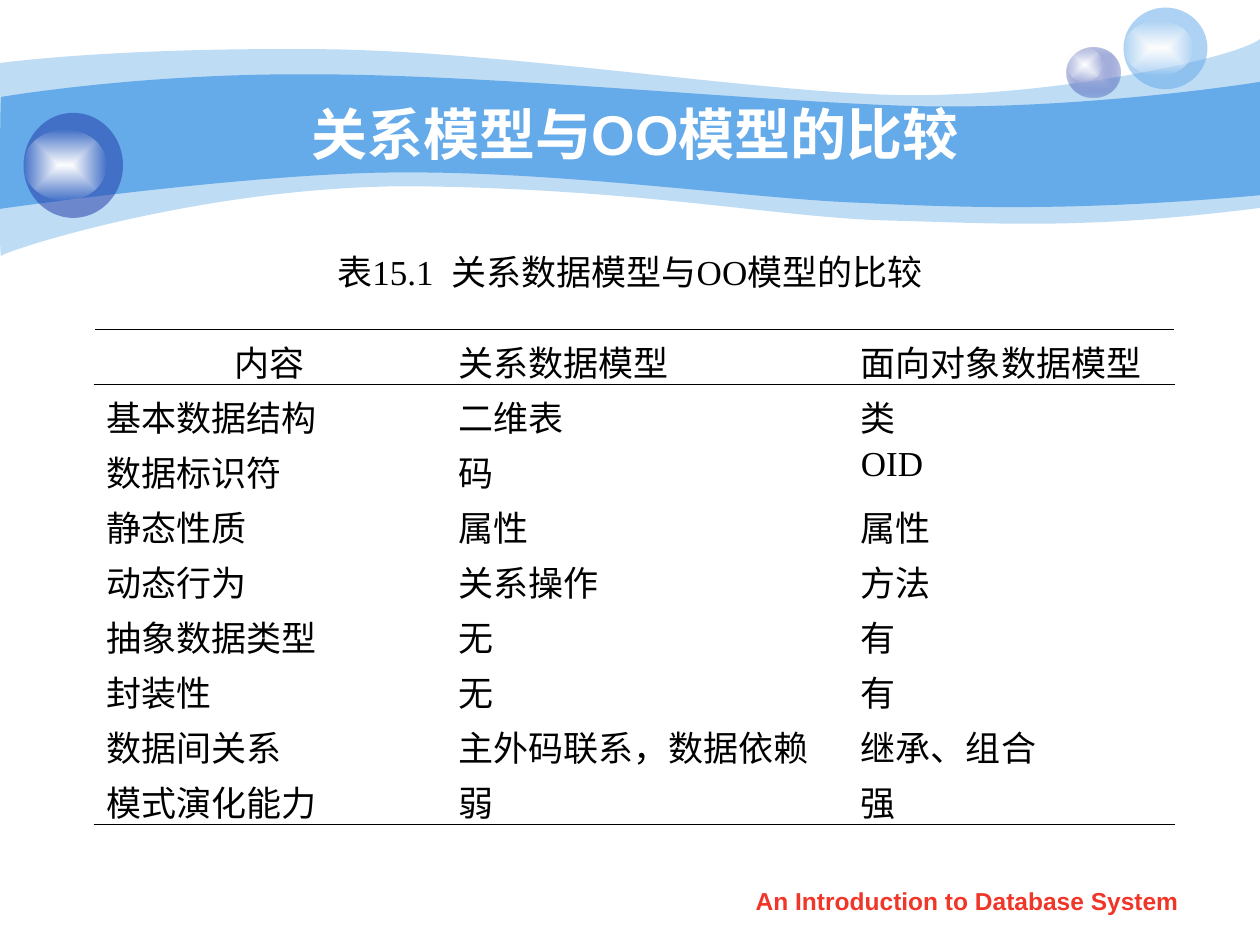
"""Build the slide that compares the relational and OO data models."""
from lxml.etree import SubElement
from pptx import Presentation
from pptx.dml.color import RGBColor
from pptx.enum.shapes import MSO_SHAPE
from pptx.enum.text import MSO_ANCHOR, PP_ALIGN
from pptx.oxml import parse_xml
from pptx.oxml.ns import nsdecls, qn
from pptx.util import Pt


def paint(sp, *stops):
    """Fill a shape with one colour or a centred gradient of (hex, opacity)."""
    sp.shadow.inherit = False
    sp.line.fill.background()
    clrs = [f'<a:srgbClr val="{c}"><a:alpha val="{a * 1000}"/></a:srgbClr>' for c, a in stops]
    if len(clrs) == 1:
        xml = f'<a:solidFill {nsdecls("a")}>{clrs[0]}</a:solidFill>'
    else:
        gs = "".join(f'<a:gs pos="{i * 100000}">{c}</a:gs>' for i, c in enumerate(clrs))
        xml = (f'<a:gradFill {nsdecls("a")} rotWithShape="1"><a:gsLst>{gs}</a:gsLst><a:path path="rect">'
               '<a:fillToRect l="50000" t="50000" r="50000" b="50000"/></a:path></a:gradFill>')
    sp._element.spPr.insert(2, parse_xml(xml))


def write(tf, text, color, align=PP_ALIGN.LEFT, **fmt):
    """Put one formatted run into a text frame."""
    p = tf.paragraphs[0]
    p.alignment = align
    r = p.add_run()
    r.text = text
    r.font.color.rgb = RGBColor.from_string(color)
    for key, value in fmt.items():
        setattr(r.font, key, value)


prs = Presentation()
prs.slide_width, prs.slide_height = Pt(720), Pt(540)
s = prs.slides.add_slide(prs.slide_layouts[5])

waves = [
    (41, (0, 36), [
        (17.3, 33.8, 77, 27.4, 177.8, 28.1), (277.9, 28.1, 414, 50.4, 503.3, 54),
        (591.8, 57.6, 705.6, 33.8, 720, 22.3), (720, 118.8),
        (617.8, 131.8, 566.6, 127.4, 507.6, 126), (447.8, 124.6, 370.8, 108.7, 247, 106.6),
        (123.8, 103.7, 2.9, 143.3, 0.7, 146.2), (-0.7, 149.8, 0, 54, 0, 36)]),
    (100, (0.7, 55.4), [
        (1.4, 55.4, 79.2, 41.8, 178.6, 42.5), (277.9, 42.5, 428.4, 57.6, 517, 60.5),
        (605.5, 63.4, 702.7, 49.7, 720, 46.8), (720, 111.6),
        (614.2, 121, 550.8, 118.8, 491, 115.9), (431.3, 113.8, 321.8, 97.9, 228.2, 98.6),
        (146.2, 98.6, -1.4, 119.5, -0.7, 119.5), (0, 119.5, 0, 55.4, 0.7, 55.4)]),
]
for opacity, start, segments in waves:
    fb = s.shapes.build_freeform(Pt(start[0]), Pt(start[1]))
    fb.add_line_segments([(Pt(seg[-2]), Pt(seg[-1])) for seg in segments])
    sp = fb.convert_to_shape()
    outline = next(sp._element.iter(qn("a:path")))
    for line, seg in zip(outline.findall(qn("a:lnTo")), segments):
        if len(seg) == 6:
            curve = SubElement(outline, qn("a:cubicBezTo"))
            for x, y in zip(seg[::2], seg[1::2]):
                SubElement(curve, qn("a:pt"), x=str(Pt(x) - sp.left), y=str(Pt(y) - sp.top))
            outline.replace(line, curve)
    paint(sp, ("65AAE9", opacity))

shine = [("FFFFFF", 100), ("FEFEFE", 0)]
orbs = [
    ((609.8, 27, 30.5, 29), [("C6CCE8", 100), ("233DA9", 31)], (609.8, 27, 20.2, 19.4)),
    ((642, 4.3, 48, 46.7), [("65AAE9", 53)], (642, 12, 40, 31)),
    ((13.5, 64.5, 56.8, 60), [("233DA9", 53)], (13.5, 74.3, 47.5, 40.3)),
]
for ball, stops, glow in orbs:
    group = s.shapes.add_group_shape()
    for box, fill in ((ball, stops), (glow, shine)):
        paint(group.shapes.add_shape(MSO_SHAPE.OVAL, *map(Pt, box)), *fill)

title = s.shapes.title
s.shapes._spTree.append(title._element)
title.left, title.top, title.width, title.height = Pt(72), Pt(53.6), Pt(582), Pt(45)
title.text_frame.vertical_anchor = MSO_ANCHOR.MIDDLE
write(title.text_frame, "关系模型与OO模型的比较", "FFFFFF", PP_ALIGN.CENTER,
      name="Arial", size=Pt(32), bold=True)

body = {"color": "000000", "name": "Times New Roman", "size": Pt(20)}
caption = s.shapes.add_textbox(Pt(176), Pt(139), Pt(368), Pt(32)).text_frame
caption.word_wrap = False
caption.vertical_anchor = MSO_ANCHOR.MIDDLE
write(caption, "表15.1  关系数据模型与OO模型的比较", align=PP_ALIGN.CENTER, **body)

rows = [
    ("内容", "关系数据模型", "面向对象数据模型"),
    ("基本数据结构", "二维表", "类"),
    ("数据标识符", "码", "OID"),
    ("静态性质", "属性", "属性"),
    ("动态行为", "关系操作", "方法"),
    ("抽象数据类型", "无", "有"),
    ("封装性", "无", "有"),
    ("数据间关系", "主外码联系，数据依赖", "继承、组合"),
    ("模式演化能力", "弱", "强"),
]
last = len(rows) - 1
row_height = 31.43
table = s.shapes.add_table(len(rows), 3, Pt(53.75), Pt(188.25), Pt(617.5), Pt(row_height * len(rows))).table
table.first_row = table.horz_banding = False
table._tbl.tblPr[0].text = "{2D5ABB26-0587-4C30-8999-92F81FD0307C}"
for col, width in zip(table.columns, (201, 230, 186.5)):
    col.width = Pt(width)
for i, row in enumerate(rows):
    table.rows[i].height = Pt(row_height)
    for j, text in enumerate(row):
        cell = table.cell(i, j)
        write(cell.text_frame, text, align=PP_ALIGN.CENTER if i == j == 0 else PP_ALIGN.LEFT, **body)
        edges = (("a:lnL", j == 0, "FFFFFF"), ("a:lnR", j == 2, "FFFFFF"),
                 ("a:lnT", i in (0, 1), "000000"), ("a:lnB", i in (0, last), "000000"))
        for tag, shown, color in edges:
            ln = SubElement(cell._tc.get_or_add_tcPr(), qn(tag), w=str(Pt(0.45)))
            if shown:
                SubElement(SubElement(ln, qn("a:solidFill")), qn("a:srgbClr"), val=color)
            else:
                SubElement(ln, qn("a:noFill"))
        cell.fill.background()

footer = s.shapes.add_textbox(Pt(410.75), Pt(502.5), Pt(284), Pt(25)).text_frame
footer.word_wrap = True
write(footer, "An Introduction to Database System", "F03628", PP_ALIGN.CENTER,
      name="Arial", size=Pt(14), bold=True)

prs.save("out.pptx")
